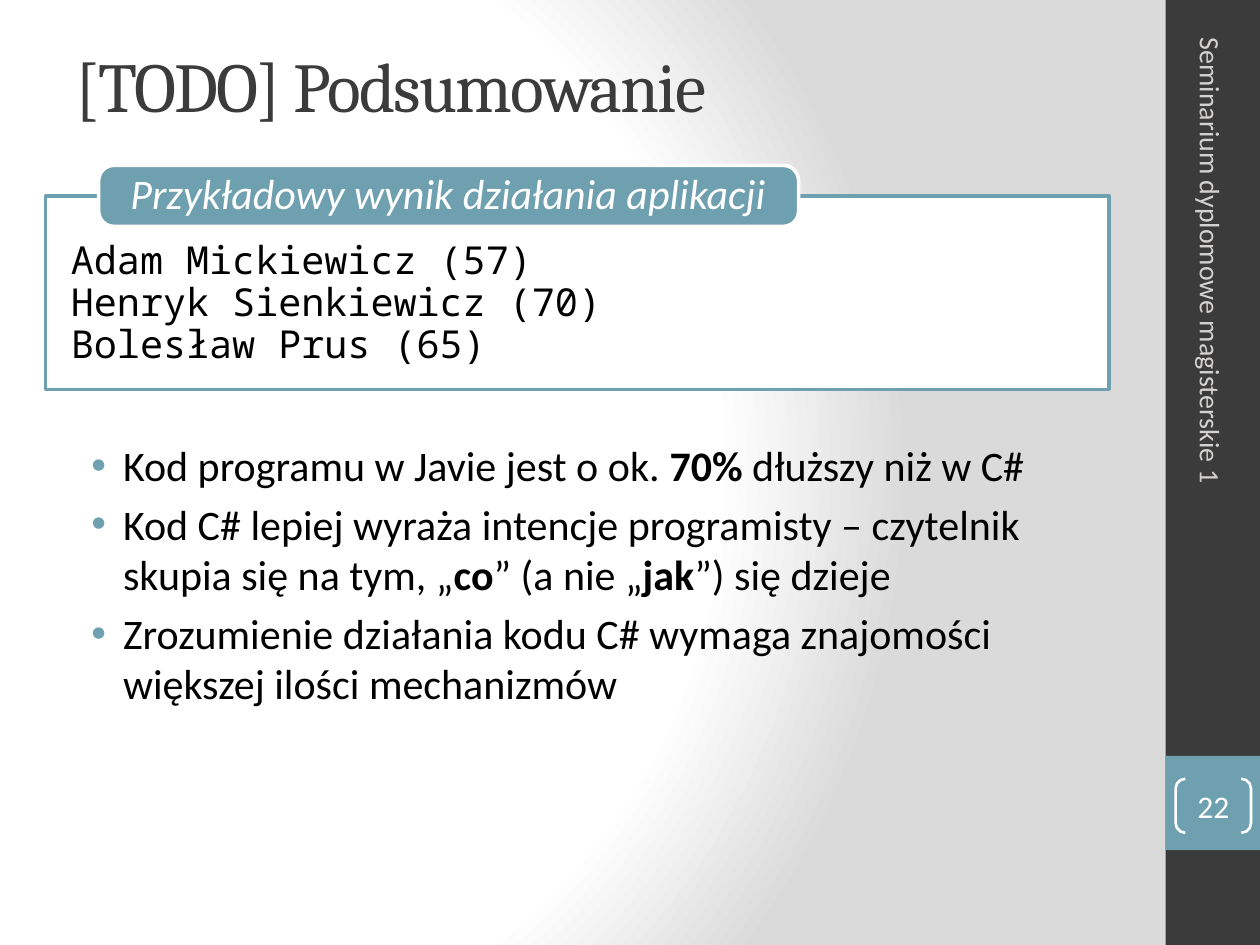
import pptx
import pptx.dml.color
import pptx.enum.shapes
import pptx.enum.text
import pptx.oxml
import pptx.oxml.ns
import pptx.util
from lxml import etree

Cm = pptx.util.Cm
Pt = pptx.util.Pt
SHAPES = pptx.enum.shapes.MSO_SHAPE
ANCHOR = pptx.enum.text.MSO_ANCHOR
ALIGN = pptx.enum.text.PP_ALIGN
qn = pptx.oxml.ns.qn

COLORS = {
    "dark": "3B3B3B",
    "accent": "6EA0B0",
    "white": "FFFFFF",
    "shade": "DADADA",
    "footer": "D4D2D0",
    "black": "000000",
}
RESULT_LINES = ["Adam Mickiewicz (57)", "Henryk Sienkiewicz (70)", "Bolesław Prus (65)"]
# Every second part of a point is bold.
POINTS = [
    ["Kod programu w Javie jest o ok. ", "70%", " dłuższy niż w C#"],
    ["Kod C# lepiej wyraża intencje programisty – czytelnik skupia się na tym, „",
     "co", "” (a nie „", "jak", "”) się dzieje"],
    ["Zrozumienie działania kodu C# wymaga znajomości większej ilości mechanizmów"],
]


def rgb(name):
    return pptx.dml.color.RGBColor.from_string(COLORS[name])


def place(shape, left, top, width, height):
    shape.left, shape.top = Cm(left), Cm(top)
    shape.width, shape.height = Cm(width), Cm(height)


def set_font(font, name, size, color):
    font.name, font.size = name, Pt(size)
    font.color.rgb = rgb(color)


def set_frame(shape, anchor, margins=(0.25, 0.13, 0.25, 0.13)):
    """Wrap the text, anchor it and set left, top, right and bottom margins in cm."""
    frame = shape.text_frame
    frame.word_wrap = True
    frame.auto_size = pptx.enum.text.MSO_AUTO_SIZE.NONE
    frame.vertical_anchor = anchor
    frame.margin_left, frame.margin_top, frame.margin_right, frame.margin_bottom = map(Cm, margins)
    return frame


def add_panel(slide, kind, box, fill=None, line=None, line_width=2):
    left, top, width, height = map(Cm, box)
    shape = slide.shapes.add_shape(kind, left, top, width, height)
    shape.shadow.inherit = False
    if fill:
        shape.fill.solid()
        shape.fill.fore_color.rgb = rgb(fill)
    else:
        shape.fill.background()
    if line:
        shape.line.color.rgb = rgb(line)
        shape.line.width = Pt(line_width)
    else:
        shape.line.fill.background()
    return shape


def set_background(slide):
    slide.background.fill.solid()
    properties = slide.element.xpath("p:cSld/p:bg/p:bgPr")[0]
    stops = "".join(
        f'<a:gs pos="{position * 1000}"><a:srgbClr val="{COLORS[color]}"/></a:gs>'
        for position, color in [(0, "white"), (75, "white"), (100, "shade")]
    )
    gradient = pptx.oxml.parse_xml(
        f'<a:gradFill {pptx.oxml.ns.nsdecls("a")} rotWithShape="1"><a:gsLst>{stops}</a:gsLst>'
        '<a:path path="circle"><a:fillToRect l="20000" t="50000" r="100000" b="50000"/></a:path>'
        "</a:gradFill>"
    )
    properties.replace(properties.find(qn("a:solidFill")), gradient)


def add_sidebar(slide, left, top, width, height):
    add_panel(slide, SHAPES.RECTANGLE, (left, top, width, height), "dark")
    number_top = top + 0.8 * height
    add_panel(slide, SHAPES.RECTANGLE, (left, number_top, width, width), "accent")

    number = add_panel(slide, SHAPES.DOUBLE_BRACKET,
                       (left + 0.2, number_top + 0.46, 1.52, 1.09), line="white", line_width=1.5)
    number.adjustments[0] = 0.18
    paragraph = set_frame(number, ANCHOR.MIDDLE, (0, 0, 0, 0)).paragraphs[0]
    paragraph.text = "22"
    paragraph.alignment = ALIGN.CENTER
    set_font(paragraph.font, "Calibri", 18, "white")

    text_length, text_height = 10.21, 1.02
    center_x, center_y = left + 0.91, top + 5.62
    footer = slide.shapes.add_textbox(
        Cm(center_x - text_length / 2), Cm(center_y - text_height / 2),
        Cm(text_length), Cm(text_height))
    footer.rotation = 90
    paragraph = set_frame(footer, ANCHOR.MIDDLE).paragraphs[0]
    paragraph.text = "Seminarium dyplomowe magisterskie 1"
    set_font(paragraph.font, "Calibri", 16, "footer")


def fill_title(slide, left, top, width, height):
    title = slide.shapes.title
    place(title, left, top, width, height)
    paragraph = set_frame(title, ANCHOR.MIDDLE).paragraphs[0]
    run = paragraph.add_run()
    run.text = "[TODO] Podsumowanie"
    paragraph.alignment = ALIGN.LEFT
    set_font(run.font, "Cambria", 40, "dark")
    run.font._element.set("spc", "-100")


def add_result_box(slide, left, top, width, height):
    """Add the framed program output with its label across the top edge."""
    frame_box = add_panel(slide, SHAPES.RECTANGLE, (left, top, width, height), "white", "accent")
    frame = set_frame(frame_box, ANCHOR.TOP, (0.51, 0.89, 0.51, 0.51))
    frame.text = "\n".join(RESULT_LINES)
    for paragraph in frame.paragraphs:
        paragraph.alignment = ALIGN.LEFT
        paragraph.line_spacing = Pt(24)
        set_font(paragraph.font, "Noto Sans Mono", 22, "black")

    label_height = 1.23
    label = add_panel(slide, SHAPES.ROUNDED_RECTANGLE,
                      (left + 1.07, top - label_height / 2, 14.11, label_height),
                      "accent", "white")
    label.adjustments[0] = 0.25
    paragraph = set_frame(label, ANCHOR.MIDDLE, (0.55, 0, 0.25, 0)).paragraphs[0]
    paragraph.text = "Przykładowy wynik działania aplikacji"
    paragraph.alignment = ALIGN.LEFT
    paragraph.line_spacing = 0.9
    set_font(paragraph.font, "Calibri", 24, "white")
    paragraph.font.italic = True


def format_bullet(paragraph):
    properties = paragraph._p.get_or_add_pPr()
    properties.set("marL", str(Cm(0.96)))
    properties.set("indent", str(Cm(-0.64)))
    before = etree.SubElement(properties, qn("a:spcBef"))
    etree.SubElement(before, qn("a:spcPct"), val="20000")
    bullet_color = etree.SubElement(properties, qn("a:buClr"))
    etree.SubElement(bullet_color, qn("a:srgbClr"), val=COLORS["accent"])
    etree.SubElement(properties, qn("a:buFont"), typeface="Arial")
    etree.SubElement(properties, qn("a:buChar"), char="•")


def fill_points(slide, left, top, width, height):
    body = slide.placeholders[1]
    place(body, left, top, width, height)
    frame = set_frame(body, ANCHOR.TOP)
    for index, parts in enumerate(POINTS):
        paragraph = frame.add_paragraph() if index else frame.paragraphs[0]
        format_bullet(paragraph)
        for number, part in enumerate(parts):
            run = paragraph.add_run()
            run.text = part
            set_font(run.font, "Calibri", 24, "black")
            run.font.bold = number % 2 == 1


def main():
    presentation = pptx.Presentation()
    presentation.slide_width, presentation.slide_height = Cm(25.4), Cm(19.05)
    slide = presentation.slides.add_slide(presentation.slide_layouts[1])
    set_background(slide)
    add_sidebar(slide, 23.5, 0, 1.9, 19.05)
    fill_title(slide, 1.27, 0.12, 21.16, 3.18)
    add_result_box(slide, 0.92, 3.95, 21.44, 3.9)
    fill_points(slide, 1.27, 8.73, 21.16, 6.2)
    presentation.save("out.pptx")


if __name__ == "__main__":
    main()
